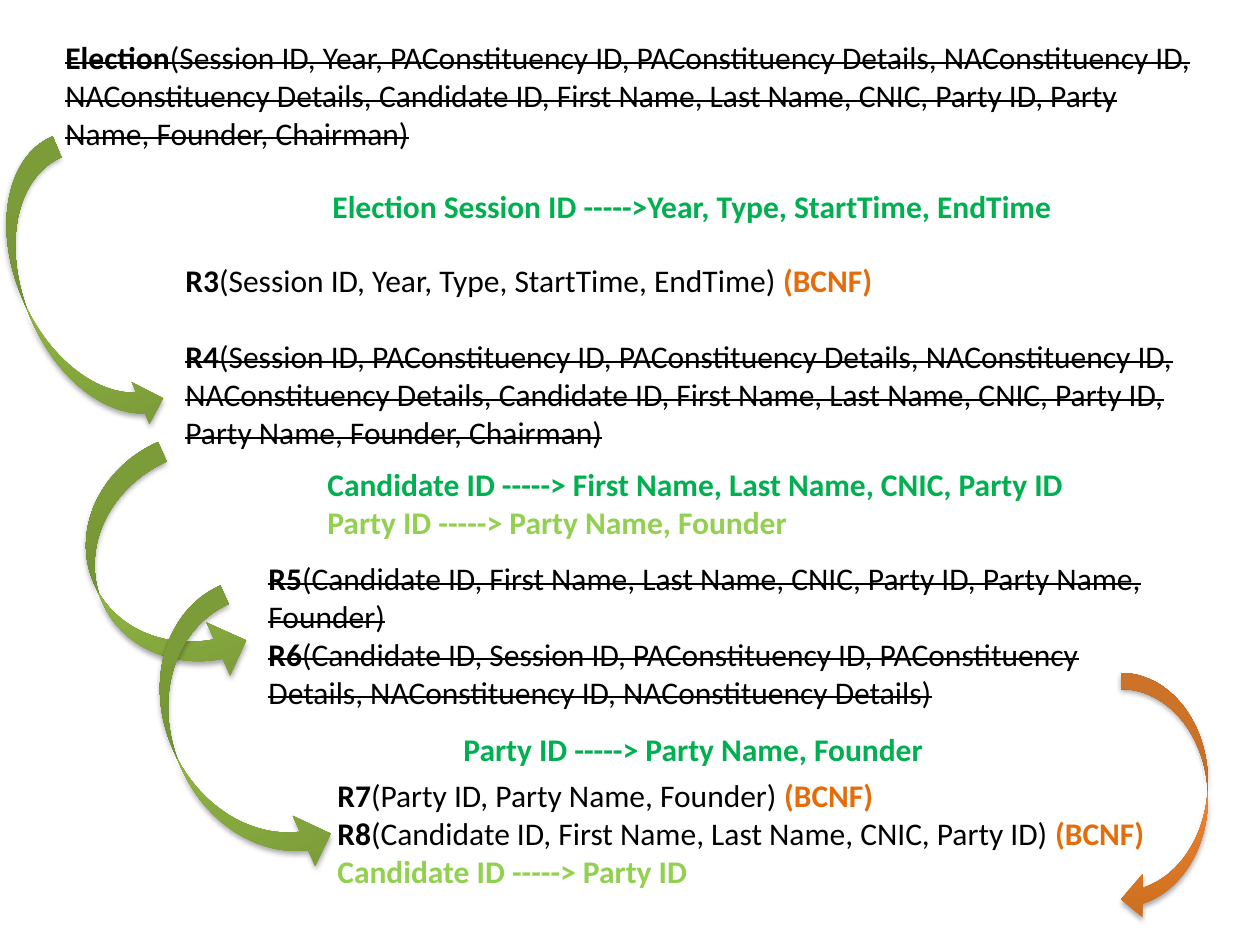
"""Build the slide that normalizes the Election relation step by step."""
from lxml import etree
from pptx import Presentation
from pptx import util as u
from pptx.dml import color
from pptx.enum import shapes, text
from pptx.oxml import ns

PX = 914400 / 126
INK, GREEN, LIME, RUST = "000000", "00B050", "92D050", "E46C0A"
LEAF = ("779737", "9BC348", "9DC746")
FLAME = ("CC6E20", "FF9034", "FF9136")
BCNF = ("(BCNF)", RUST, True)


def box(*size):
    return [u.Emu(round(n * PX)) for n in size]


def rgb(code):
    return color.RGBColor.from_string(code)


deck = Presentation()
deck.slide_width, deck.slide_height = box(1260, 945)
slide = deck.slides.add_slide(deck.slide_layouts[6])

notes = [
    ((53, 32, 1155, 127), True, [
        (True, 0, [("Election", INK, True),
                   ("(Session ID, Year, PAConstituency ID, PAConstituency Details, "
                    "NAConstituency ID, NAConstituency Details,", INK, False),
                   (" ", INK, True),
                   ("Candidate ID, First Name, Last Name, CNIC, Party ID, "
                    "Party Name, Founder, Chairman)", INK, False)])]),
    ((320, 181, 751, 50), False, [
        (False, 0, [("Election Session ID ----->Year, Type, StartTime, EndTime", GREEN, True)])]),
    ((173, 255, 1040, 204), True, [
        (False, 0, [("R3", INK, True),
                    ("(Session ID, Year, Type, StartTime, EndTime) ", INK, False), BCNF]),
        (True, 22, [("R4", INK, True),
                    ("(Session ID, PAConstituency ID, PAConstituency Details, "
                     "NAConstituency ID, NAConstituency Details, Candidate ID, First Name, "
                     "Last Name, CNIC, Party ID, Party Name, Founder, Chairman)", INK, False)])]),
    ((315, 459, 892, 127), True, [
        (False, 0, [("Candidate ID -----> First Name, Last Name, CNIC, Party ID", GREEN, True)]),
        (False, 0, [("Party ID -----> Party Name, Founder", LIME, True)])]),
    ((256, 553, 929, 165), True, [
        (True, 0, [("R5", INK, True),
                   ("(Candidate ID, First Name, Last Name, CNIC, Party ID, "
                    "Party Name, Founder)", INK, False)]),
        (True, 0, [("R6", INK, True),
                   ("(Candidate ID, Session ID, PAConstituency ID, PAConstituency Details, "
                    "NAConstituency ID, NAConstituency Details)", INK, False)])]),
    ((451, 724, 892, 127), True, [
        (False, 0, [("Party ID -----> Party Name, Founder", GREEN, True)])]),
    ((325, 770, 859, 127), True, [
        (False, 0, [("R7", INK, True), ("(Party ID, Party Name, Founder) ", INK, False), BCNF]),
        (False, 0, [("R8", INK, True),
                    ("(Candidate ID, First Name, Last Name, CNIC, Party ID) ", INK, False), BCNF]),
        (False, 0, [("Candidate ID -----> Party ID", LIME, True)])]),
]

for size, wrap, lines in notes:
    frame = slide.shapes.add_textbox(*box(*size)).text_frame
    frame.word_wrap = wrap
    frame.auto_size = text.MSO_AUTO_SIZE.SHAPE_TO_FIT_TEXT
    for i, (strike, gap, runs) in enumerate(lines):
        para = frame.add_paragraph() if i else frame.paragraphs[0]
        para.font.name, para.font.size = "Calibri", u.Pt(18)
        para.space_before = u.Pt(gap)
        for words, ink, bold in runs:
            run = para.add_run()
            run.text = words
            run.font.bold = bold
            run.font.color.rgb = rgb(ink)
            if strike:
                run.font._element.set("strike", "sngStrike")

arrows = [
    ((25, 142, 91, 307), 337.1, 0.25, False, LEAF),
    ((97, 455, 116, 246), 336, 0.184, False, LEAF),
    ((176, 595, 110, 299), 336, 0.184, False, LEAF),
    ((1121, 673, 87, 248), 0, 0.184, True, FLAME),
]

for size, turn, thick, flip, tones in arrows:
    arrow = slide.shapes.add_shape(shapes.MSO_SHAPE.CURVED_RIGHT_ARROW, *box(*size))
    arrow.rotation = turn
    arrow.adjustments[0] = thick
    arrow.line.fill.background()
    arrow.shadow.inherit = False
    arrow.fill.gradient()
    arrow.fill.gradient_angle = 90
    props = arrow._element.spPr
    if flip:
        props.xfrm.set("flipH", "1")
    stops = props.find(".//" + ns.qn("a:gsLst"))
    stops.clear()
    for place, tone in zip((0, 80000, 100000), tones):
        stop = etree.SubElement(stops, ns.qn("a:gs"), pos=str(place))
        etree.SubElement(stop, ns.qn("a:srgbClr"), val=tone)
    shade = etree.SubElement(props.find(ns.qn("a:effectLst")), ns.qn("a:outerShdw"),
                             blurRad="40000", dist="23000", dir="5400000", rotWithShape="0")
    black = etree.SubElement(shade, ns.qn("a:srgbClr"), val=INK)
    etree.SubElement(black, ns.qn("a:alpha"), val="35000")

deck.save("out.pptx")
